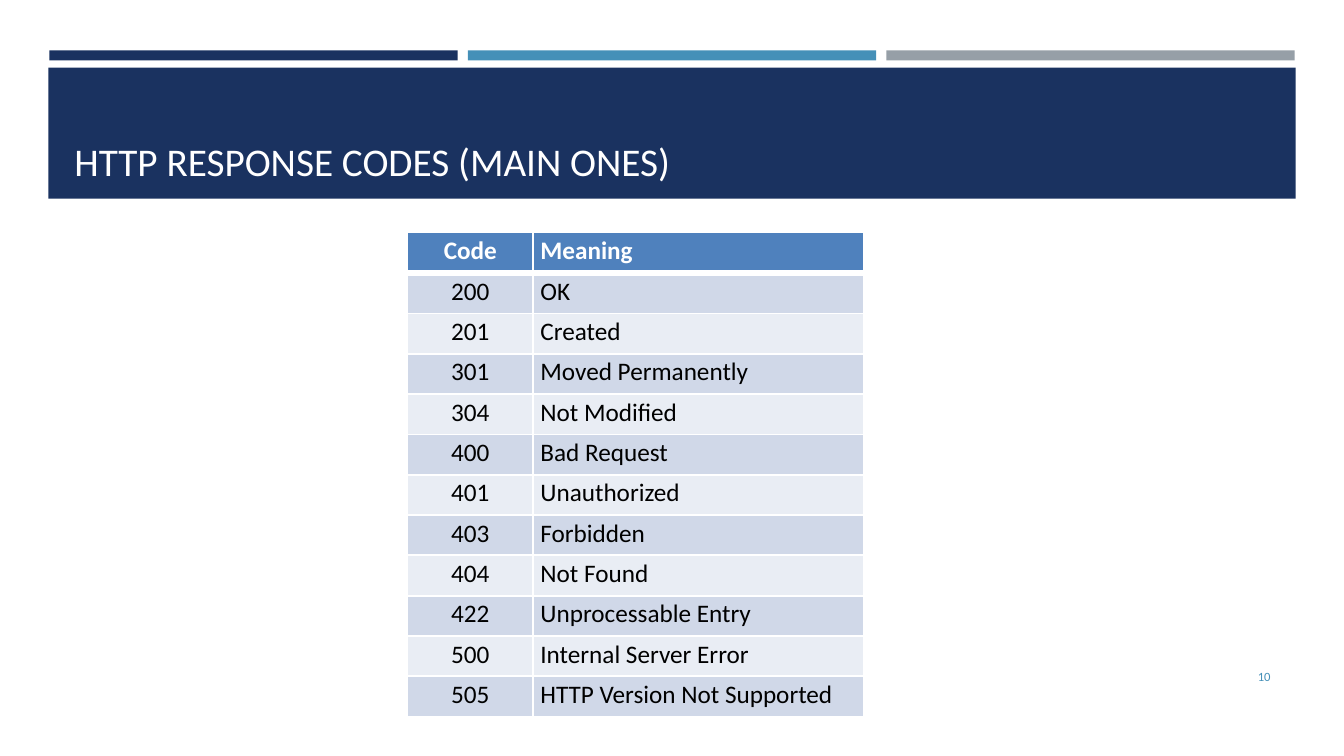
from lxml.etree import SubElement
from pptx import Presentation
from pptx.dml.color import RGBColor
from pptx.enum.shapes import MSO_SHAPE
from pptx.enum.text import MSO_ANCHOR, PP_ALIGN
from pptx.oxml.ns import qn
from pptx.util import Inches, Pt

NAVY = RGBColor(0x1A, 0x32, 0x60)
BLUE = RGBColor(0x45, 0x90, 0xB8)
GRAY = RGBColor(0x96, 0x9F, 0xA7)
HEAD = RGBColor(0x4F, 0x81, 0xBD)
DARK = RGBColor(0xD0, 0xD8, 0xE8)
PALE = RGBColor(0xE9, 0xED, 0xF4)
WHITE = RGBColor(0xFF, 0xFF, 0xFF)
BLACK = RGBColor(0, 0, 0)

FONT = "Calibri"
CODES = [
    ("Code", "Meaning"),
    ("200", "OK"),
    ("201", "Created"),
    ("301", "Moved Permanently"),
    ("304", "Not Modified"),
    ("400", "Bad Request"),
    ("401", "Unauthorized"),
    ("403", "Forbidden"),
    ("404", "Not Found"),
    ("422", "Unprocessable Entry"),
    ("500", "Internal Server Error"),
    ("505", "HTTP Version Not Supported"),
]


def add_bar(slide, box, color):
    """Add a plain filled bar."""
    bar = slide.shapes.add_shape(MSO_SHAPE.RECTANGLE, *map(Inches, box))
    bar.shadow.inherit = False
    bar.fill.solid()
    bar.fill.fore_color.rgb = color
    bar.line.fill.background()


def set_text(frame, text, size, color, align, bold=False):
    """Write one styled paragraph into a text frame."""
    frame.text = text
    line = frame.paragraphs[0]
    line.alignment = align
    line.font.name = FONT
    line.font.size = Pt(size)
    line.font.bold = bold
    line.font.color.rgb = color


def add_text(slide, box, text, size, color, align, anchor):
    """Add a wrapped text box."""
    frame = slide.shapes.add_textbox(*map(Inches, box)).text_frame
    frame.word_wrap = True
    frame.vertical_anchor = anchor
    set_text(frame, text, size, color, align)


def set_edges(cell, widths):
    """Draw white cell borders, given as left, right, top and bottom."""
    props = cell._tc.get_or_add_tcPr()
    for side, width in zip("LRTB", widths):
        edge = SubElement(props, qn(f"a:ln{side}"), w=str(Pt(width)))
        fill = SubElement(edge, qn("a:solidFill"))
        SubElement(fill, qn("a:srgbClr"), val=str(WHITE))


def fill_cell(cell, text, row, col):
    """Style one cell by its place in the table."""
    last = len(CODES) - 1
    top = {0: 0.75, 1: 4.5}.get(row, 1.5)
    base = {0: 4.5, last: 0.75}.get(row, 1.5)
    sides = (1.5, 0.75) if col else (0.75, 1.5)
    set_edges(cell, (*sides, top, base))
    cell.fill.solid()
    cell.fill.fore_color.rgb = HEAD if row == 0 else DARK if row % 2 else PALE
    cell.margin_left = Inches(0.07 if col else 0)
    cell.margin_right = cell.margin_bottom = 0
    cell.margin_top = Inches(0.03)
    align = PP_ALIGN.LEFT if col else PP_ALIGN.CENTER
    color = BLACK if row else WHITE
    set_text(cell.text_frame, text, 18, color, align, row == 0)


def add_codes(slide):
    """Add the table of response codes."""
    box = map(Inches, (4.04, 2.31, 4.52, 4.8))
    table = slide.shapes.add_table(len(CODES), 2, *box).table
    for col, width in enumerate((1.25, 3.27)):
        table.columns[col].width = Inches(width)
    for row, texts in enumerate(CODES):
        table.rows[row].height = Inches(0.4)
        for col, text in enumerate(texts):
            fill_cell(table.cell(row, col), text, row, col)


def main():
    """Build and save the slide."""
    deck = Presentation()
    deck.slide_width = Inches(13.33)
    deck.slide_height = Inches(7.5)
    slide = deck.slides.add_slide(deck.slide_layouts[6])
    for pos, color in enumerate((NAVY, BLUE, GRAY)):
        add_bar(slide, (0.49 + 4.15 * pos, 0.5, 4.05, 0.1), color)
    add_bar(slide, (0.48, 0.67, 12.37, 1.3), NAVY)
    add_text(slide, (0.64, 0.77, 12.06, 1.11), "HTTP RESPONSE CODES (MAIN ONES)",
             28, WHITE, PP_ALIGN.LEFT, MSO_ANCHOR.BOTTOM)
    add_text(slide, (11.55, 6.51, 1.15, 0.4), "10",
             9, BLUE, PP_ALIGN.RIGHT, MSO_ANCHOR.MIDDLE)
    add_codes(slide)
    deck.save("out.pptx")


if __name__ == "__main__":
    main()
